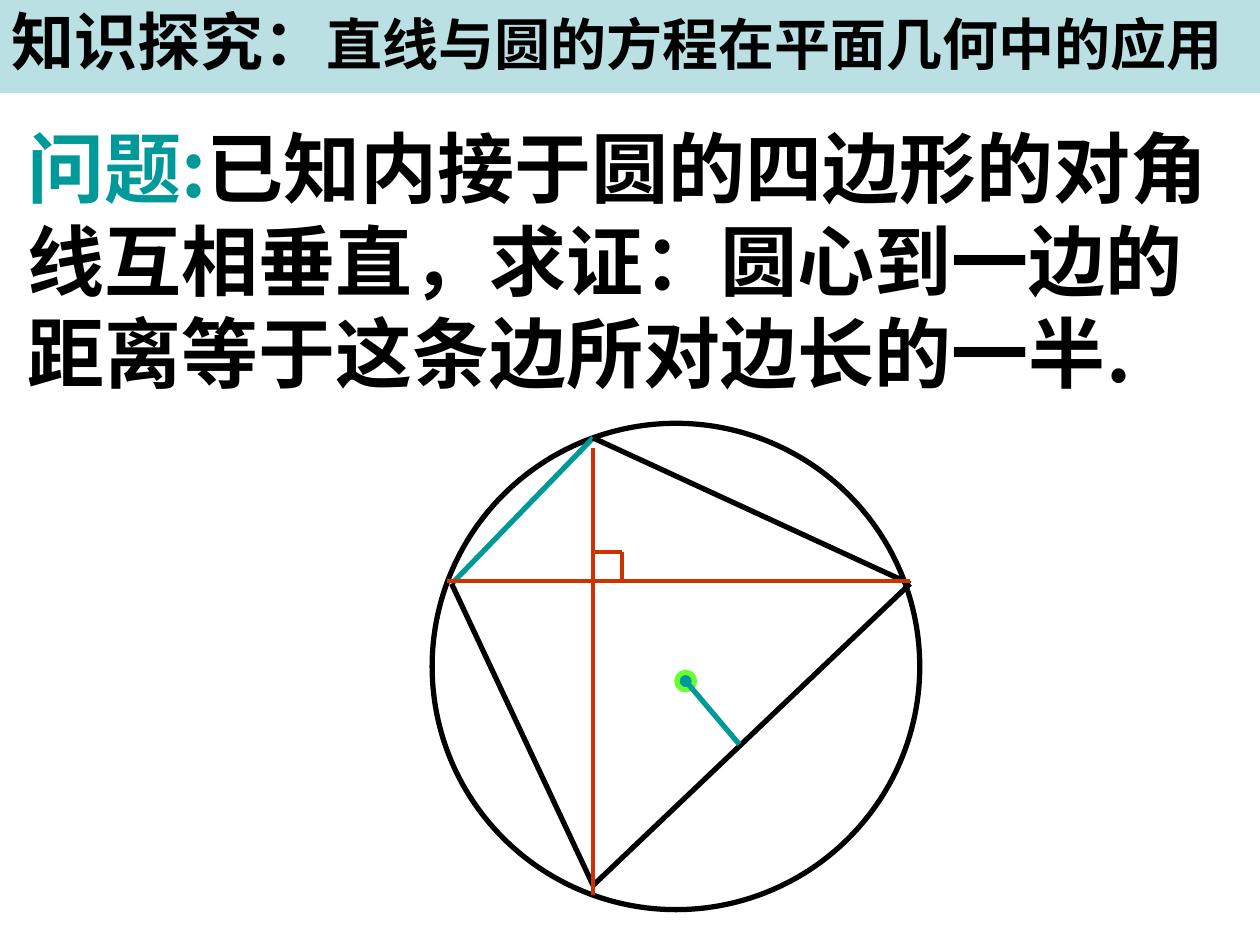
from pptx import Presentation
from pptx.dml.color import RGBColor
from pptx.enum.shapes import MSO_CONNECTOR, MSO_SHAPE
from pptx.enum.text import MSO_ANCHOR, PP_ALIGN
from pptx.oxml.ns import qn
from pptx.util import Inches, Pt

RECTANGLE, OVAL = MSO_SHAPE.RECTANGLE, MSO_SHAPE.OVAL
STRAIGHT = MSO_CONNECTOR.STRAIGHT
TOP, LEFT = MSO_ANCHOR.TOP, PP_ALIGN.LEFT

COLORS = {"band": "BBE0E3", "ink": "000000", "accent": "009999",
          "diagonal": "CC3300", "halo": "66FF33"}
CJK_FONT = "Noto Sans CJK SC"
WIDTH, HEIGHT = 10, 7.5


def rgb(name):
    return RGBColor.from_string(COLORS[name])


def inches(*lengths):
    return [Inches(length) for length in lengths]


def add_text(frame, runs, line_pitch=None):
    frame.word_wrap = True
    frame.vertical_anchor = TOP
    paragraph = frame.paragraphs[0]
    paragraph.alignment = LEFT
    if line_pitch:
        paragraph.line_spacing = Pt(line_pitch)
    for words, size, latin_font, color in runs:
        run = paragraph.add_run()
        run.text = words
        run.font.size = Pt(size)
        run.font.bold = True
        run.font.name = latin_font
        run.font.color.rgb = rgb(color)
        east_asian = run.font._element.makeelement(qn("a:ea"), {"typeface": CJK_FONT})
        run.font._element.append(east_asian)


def add_preset(slide, preset, box, fill=None, outline=None):
    shape = slide.shapes.add_shape(preset, *inches(*box))
    shape.shadow.inherit = False
    if fill:
        shape.fill.solid()
        shape.fill.fore_color.rgb = rgb(fill)
    else:
        shape.fill.background()
    if outline:
        shape.line.color.rgb = rgb(outline)
        shape.line.width = Pt(3)
    else:
        shape.line.fill.background()
    return shape


def add_segment(slide, start, end, color, weight):
    segment = slide.shapes.add_connector(STRAIGHT, *inches(*start, *end))
    segment.line.color.rgb = rgb(color)
    segment.line.width = Pt(weight)
    properties = segment._element.spPr
    properties.append(properties.makeelement(qn("a:effectLst"), {}))


def add_header(slide, box):
    band = add_preset(slide, RECTANGLE, box, fill="band")
    add_text(band.text_frame, [
        ("知识探究：", 36, "Arial", "ink"),
        ("直线与圆的方程在平面几何中的应用", 32, "Arial", "ink"),
    ])


def add_problem(slide, box):
    problem = slide.shapes.add_textbox(*inches(*box))
    add_text(problem.text_frame, [
        ("问题:", 44, CJK_FONT, "accent"),
        ("已知内接于圆的四边形的对角线互相垂直，求证：圆心到一边的距离等于"
         "这条边所对边长的一半.", 44, CJK_FONT, "ink"),
    ], line_pitch=52.8)


def add_figure(slide, box):
    left, top, width, height = box

    def at(x, y):
        return left + x * width, top + y * height

    add_preset(slide, OVAL, box, outline="ink")

    chord_x, chord_y = 0.33, 0.325
    north, west = at(chord_x, 0.03), at(0.04, chord_y + 0.005)
    south, east = at(chord_x, 0.95), at(0.98, chord_y + 0.005)
    for start, end, color in [(north, west, "accent"), (west, south, "ink"),
                              (south, east, "ink"), (north, east, "ink")]:
        add_segment(slide, start, end, color, 3)

    center, foot = at(0.52, 0.53), at(0.63, 0.66)
    dot = 0.14
    add_preset(slide, OVAL, (center[0] - dot / 2, center[1] - dot / 2, dot, dot),
               fill="accent", outline="halo")
    add_segment(slide, center, foot, "accent", 3)

    mark = 0.06
    corner = at(chord_x + mark, chord_y - mark)
    for start, end in [(at(0.03, chord_y), at(0.98, chord_y)),
                       (at(chord_x, 0.05), at(chord_x, 0.97)),
                       (at(chord_x, chord_y - mark), corner),
                       (corner, at(chord_x + mark, chord_y))]:
        add_segment(slide, start, end, "diagonal", 2.25)


def main():
    presentation = Presentation()
    presentation.slide_width, presentation.slide_height = inches(WIDTH, HEIGHT)
    slide = presentation.slides.add_slide(presentation.slide_layouts[6])
    add_header(slide, (-0.01, -0.03, WIDTH + 0.01, 0.77))
    add_problem(slide, (0.12, 0.91, 0.98 * WIDTH, 2.3))
    add_figure(slide, (3.43, 3.36, 3.87, 3.86))
    presentation.save("out.pptx")


if __name__ == "__main__":
    main()
